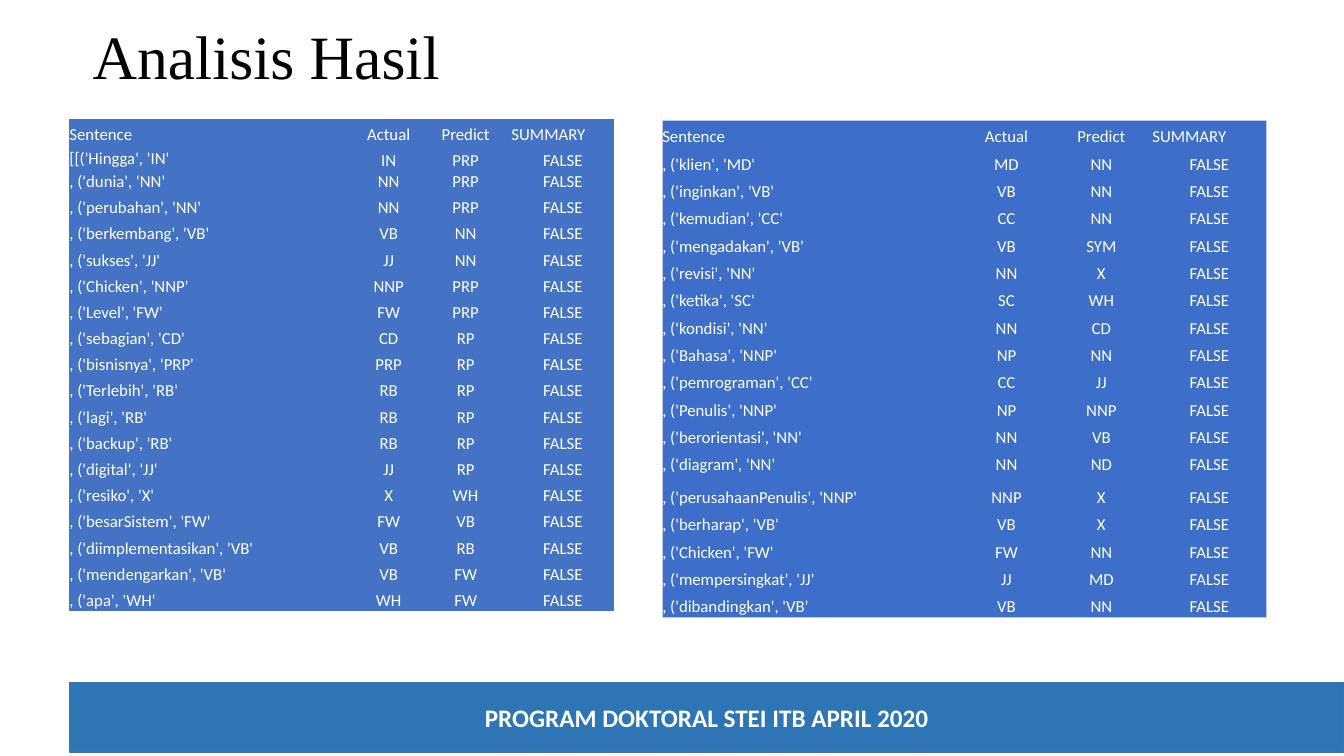
from lxml import etree
from pptx import Presentation
from pptx.dml.color import RGBColor
from pptx.enum.shapes import MSO_SHAPE
from pptx.enum.text import MSO_ANCHOR, PP_ALIGN
from pptx.oxml.ns import qn
from pptx.util import Cm, Pt

RECTANGLE = MSO_SHAPE.RECTANGLE
MIDDLE, BOTTOM = MSO_ANCHOR.MIDDLE, MSO_ANCHOR.BOTTOM
LEFT, CENTER = PP_ALIGN.LEFT, PP_ALIGN.CENTER

TITLE_ONLY = 5
PLAIN_TABLE = "{2D5ABB26-0587-4C30-8999-92F81FD0307C}"
COLORS = {
    "title": "000000",
    "text": "FFFFFF",
    "left_table": "4472C4",
    "right_table": "3D6EC9",
    "frame": "C1C9E4",
    "footer": "2E75B6",
    "footer_line": "43739E",
}
HEADER = ("Sentence", "Actual", "Predict", "SUMMARY")

# Each entry: word, tag in the sentence, actual tag, predicted tag
LEFT_ERRORS = """
Hingga IN IN PRP
dunia NN NN PRP
perubahan NN NN PRP
berkembang VB VB NN
sukses JJ JJ NN
Chicken NNP NNP PRP
Level FW FW PRP
sebagian CD CD RP
bisnisnya PRP PRP RP
Terlebih RB RB RP
lagi RB RB RP
backup RB RB RP
digital JJ JJ RP
resiko X X WH
besarSistem FW FW VB
diimplementasikan VB VB RB
mendengarkan VB VB FW
apa WH WH FW
"""
RIGHT_ERRORS = """
klien MD MD NN
inginkan VB VB NN
kemudian CC CC NN
mengadakan VB VB SYM
revisi NN NN X
ketika SC SC WH
kondisi NN NN CD
Bahasa NNP NP NN
pemrograman CC CC JJ
Penulis NNP NP NNP
berorientasi NN NN VB
diagram NN NN ND
perusahaanPenulis NNP NNP X
berharap VB VB X
Chicken FW FW NN
mempersingkat JJ JJ MD
dibandingkan VB VB NN
"""


def error_rows(listing, opening=", "):
    """Turn a listing into table rows; the first sentence gets the opening."""
    rows = [HEADER]
    for line in listing.strip().splitlines():
        word, tag, actual, predicted = line.split()
        prefix = opening if len(rows) == 1 else ", "
        rows.append((f"{prefix}('{word}', '{tag}'", actual, predicted, "FALSE"))
    return rows


class SlideBuilder:
    def __init__(self, page, font="Calibri"):
        self.page = page
        self.font = font

    def color(self, name):
        return RGBColor.from_string(COLORS[name])

    def add_text(self, frame, text, size, align, color="text", font=None, bold=False):
        para = frame.paragraphs[0]
        para.alignment = align
        span = para.add_run()
        span.text = text
        span.font.size = Pt(size)
        span.font.name = font or self.font
        span.font.bold = bold
        span.font.color.rgb = self.color(color)
        return para

    def title(self, text, left, top, width, height):
        box = self.page.shapes.title
        box.left, box.top, box.width, box.height = map(Cm, (left, top, width, height))
        box.text_frame.vertical_anchor = MIDDLE
        para = self.add_text(box.text_frame, text, 44, LEFT, "title", "Times New Roman")
        para.line_spacing = 0.9

    def footer(self, text, left, top, width, height):
        band = self.page.shapes.add_shape(
            RECTANGLE, Cm(left), Cm(top), Cm(width), Cm(height))
        band.shadow.inherit = False
        band.fill.solid()
        band.fill.fore_color.rgb = self.color("footer")
        band.line.color.rgb = self.color("footer_line")
        band.line.width = Pt(1)
        band.text_frame.vertical_anchor = MIDDLE
        self.add_text(band.text_frame, text, 18, CENTER, bold=True)

    def cell_border(self, cell, side):
        line = etree.SubElement(
            cell._tc.get_or_add_tcPr(), qn(f"a:ln{side}"), w=str(Pt(0.5)))
        fill = etree.SubElement(line, qn("a:solidFill"))
        etree.SubElement(fill, qn("a:srgbClr"), val=COLORS["frame"])

    def table(self, rows, left, top, widths, heights, fill, framed=False):
        last_row, last_column = len(rows) - 1, len(widths) - 1
        table = self.page.shapes.add_table(
            len(rows), len(widths), Cm(left), Cm(top),
            Cm(sum(widths)), Cm(sum(heights))).table
        table.first_row = table.horz_banding = False
        table._tbl.tblPr.find(qn("a:tableStyleId")).text = PLAIN_TABLE
        for column, width in zip(table.columns, widths):
            column.width = Cm(width)
        for r, (row, height) in enumerate(zip(rows, heights)):
            table.rows[r].height = Cm(height)
            for c, text in enumerate(row):
                cell = table.cell(r, c)
                cell.margin_left = cell.margin_right = 0
                cell.margin_top = cell.margin_bottom = 0
                cell.vertical_anchor = MIDDLE if text.startswith("[[") else BOTTOM
                edges = {"L": c == 0, "R": c == last_column,
                         "T": r == 0, "B": r == last_row}
                for side, on_edge in edges.items():
                    if framed and on_edge:
                        self.cell_border(cell, side)
                cell.fill.solid()
                cell.fill.fore_color.rgb = self.color(fill)
                flush_left = c == 0 or text == "SUMMARY"
                self.add_text(cell.text_frame, text, 12, LEFT if flush_left else CENTER)


def main():
    deck = Presentation()
    deck.slide_width, deck.slide_height = Cm(33.87), Cm(19.05)
    page = deck.slides.add_slide(deck.slide_layouts[TITLE_ONLY])
    builder = SlideBuilder(page)

    # Title
    builder.title("Analisis Hasil", 2.08, 0, 29.21, 3)

    # Left table, with a tighter third row
    left_heights = [0.66] * 2 + [0.51] + [0.66] * 16
    builder.table(error_rows(LEFT_ERRORS, "[["), 1.75, 3,
                  (7.26, 1.57, 2.31, 2.59), left_heights, "left_table")

    # Footer band
    builder.footer("PROGRAM DOKTORAL STEI ITB APRIL 2020", 1.75, 17.2, 32.12, 1.75)

    # Right table, framed, with one taller row
    right_heights = [0.69] * 13 + [0.82] + [0.69] * 4
    builder.table(error_rows(RIGHT_ERRORS), 16.69, 3.02,
                  (7.57, 2.21, 2.57, 2.87), right_heights, "right_table", framed=True)

    deck.save("out.pptx")


if __name__ == "__main__":
    main()
